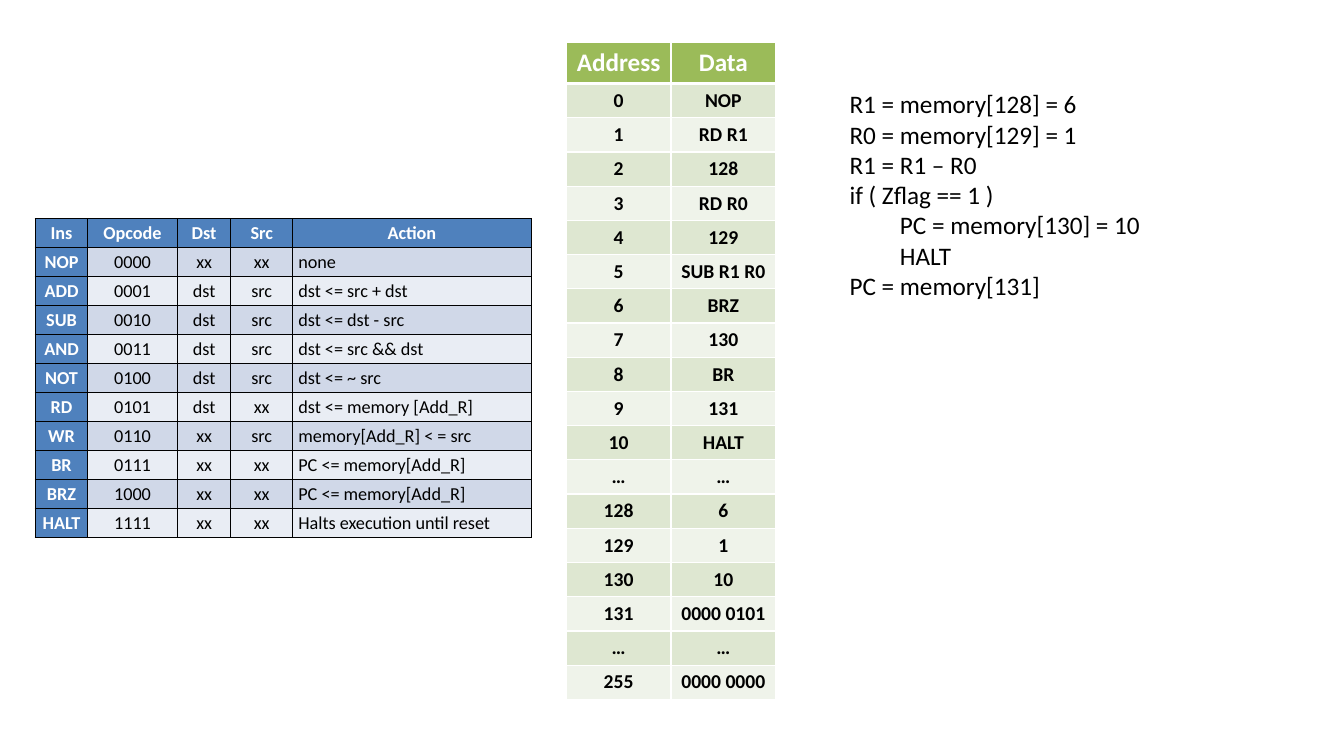
from dataclasses import dataclass

from lxml.etree import SubElement
from pptx import Presentation
from pptx.dml.color import RGBColor
from pptx.enum.text import MSO_ANCHOR, PP_ALIGN
from pptx.oxml.ns import qn
from pptx.slide import Slide
from pptx.table import _Cell
from pptx.text.text import _Paragraph
from pptx.util import Cm, Pt

WHITE = RGBColor(0xFF, 0xFF, 0xFF)
BLACK = RGBColor(0x00, 0x00, 0x00)
GREEN = RGBColor(0x9B, 0xBB, 0x59)
GREEN_BAND = RGBColor(0xDE, 0xE7, 0xD1)
GREEN_LIGHT = RGBColor(0xEF, 0xF3, 0xEA)
BLUE = RGBColor(0x4F, 0x81, 0xBD)
BLUE_BAND = RGBColor(0xD0, 0xD8, 0xE8)
BLUE_LIGHT = RGBColor(0xE9, 0xED, 0xF4)


@dataclass(frozen=True)
class TableDesign:
    """Place, measures (cm, points) and colours of one table."""

    left: float
    top: float
    column_widths: tuple[float, ...]
    header_height: float
    row_height: float
    header_size: int
    body_size: int
    header_fill: RGBColor
    bands: tuple[RGBColor, RGBColor]
    border: RGBColor
    header_rule: int
    margins: tuple[float, float]
    anchor: MSO_ANCHOR
    bold_body: bool
    header_column: bool
    left_column: int | None


MEMORY_DESIGN = TableDesign(
    14.27, 1.07, (2.64, 2.64), 1.01, 0.85, 18, 14, GREEN, (GREEN_BAND, GREEN_LIGHT),
    WHITE, 3, (0.25, 0.13), MSO_ANCHOR.TOP, True, False, None,
)
INSTRUCTION_DESIGN = TableDesign(
    0.89, 5.51, (1.32, 2.26, 1.35, 1.55, 6.02), 0.73, 0.73, 13, 13, BLUE,
    (BLUE_BAND, BLUE_LIGHT), BLACK, 1, (0.15, 0), MSO_ANCHOR.MIDDLE, False, True, 4,
)

MEMORY_ROWS = [
    ("Address", "Data"),
    ("0", "NOP"),
    ("1", "RD R1"),
    ("2", "128"),
    ("3", "RD R0"),
    ("4", "129"),
    ("5", "SUB R1 R0"),
    ("6", "BRZ"),
    ("7", "130"),
    ("8", "BR"),
    ("9", "131"),
    ("10", "HALT"),
    ("…", "…"),
    ("128", "6"),
    ("129", "1"),
    ("130", "10"),
    ("131", "0000 0101"),
    ("…", "…"),
    ("255", "0000 0000"),
]
INSTRUCTION_ROWS = [
    ("Ins", "Opcode", "Dst", "Src", "Action"),
    ("NOP", "0000", "xx", "xx", "none"),
    ("ADD", "0001", "dst", "src", "dst <= src + dst"),
    ("SUB", "0010", "dst", "src", "dst <= dst - src"),
    ("AND", "0011", "dst", "src", "dst <= src && dst"),
    ("NOT", "0100", "dst", "src", "dst <= ~ src"),
    ("RD", "0101", "dst", "xx", "dst <= memory [Add_R]"),
    ("WR", "0110", "xx", "src", "memory[Add_R] < = src"),
    ("BR", "0111", "xx", "xx", "PC <= memory[Add_R]"),
    ("BRZ", "1000", "xx", "xx", "PC <= memory[Add_R]"),
    ("HALT", "1111", "xx", "xx", "Halts execution until reset"),
]
PROGRAM_LINES = [
    "R1 = memory[128] = 6",
    "R0 = memory[129] = 1",
    "R1 = R1 – R0",
    "if ( Zflag == 1 )",
    "\tPC = memory[130] = 10",
    "\tHALT",
    "PC = memory[131]",
]


def set_font(paragraph: _Paragraph, size: int, color: RGBColor, bold: bool) -> None:
    """Format a whole paragraph."""
    font = paragraph.font
    font.name = "Calibri"
    font.size = Pt(size)
    font.bold = bold
    font.color.rgb = color


def set_borders(cell: _Cell, color: RGBColor, top: int, bottom: int) -> None:
    """Draw the four borders of a cell, with widths in points."""
    properties = cell._tc.get_or_add_tcPr()
    for side, width in (("L", 1), ("R", 1), ("T", top), ("B", bottom)):
        line = SubElement(properties, qn(f"a:ln{side}"), w=str(Pt(width)))
        fill = SubElement(line, qn("a:solidFill"))
        SubElement(fill, qn("a:srgbClr"), val=str(color))


def format_cell(cell: _Cell, text: str, row: int, column: int, design: TableDesign) -> None:
    """Write and format one cell according to its place in the table."""
    is_header = row == 0 or (design.header_column and column == 0)
    top = design.header_rule if row == 1 else 1
    bottom = design.header_rule if row == 0 else 1
    set_borders(cell, design.border, top, bottom)
    cell.fill.solid()
    cell.fill.fore_color.rgb = design.header_fill if is_header else design.bands[(row - 1) % 2]
    cell.margin_left = cell.margin_right = Cm(design.margins[0])
    cell.margin_top = cell.margin_bottom = Cm(design.margins[1])
    cell.vertical_anchor = design.anchor
    cell.text = text
    paragraph = cell.text_frame.paragraphs[0]
    is_left = column == design.left_column and not is_header
    paragraph.alignment = PP_ALIGN.LEFT if is_left else PP_ALIGN.CENTER
    size = design.header_size if row == 0 else design.body_size
    set_font(paragraph, size, WHITE if is_header else BLACK, is_header or design.bold_body)


def add_data_table(slide: Slide, rows: list[tuple[str, ...]], design: TableDesign) -> None:
    """Add a table holding the given rows."""
    height = design.header_height + design.row_height * (len(rows) - 1)
    table = slide.shapes.add_table(
        len(rows), len(design.column_widths), Cm(design.left), Cm(design.top),
        Cm(sum(design.column_widths)), Cm(height),
    ).table
    table.first_col = design.header_column
    for column, width in zip(table.columns, design.column_widths):
        column.width = Cm(width)
    for row, texts in enumerate(rows):
        table.rows[row].height = Cm(design.row_height if row else design.header_height)
        for column, text in enumerate(texts):
            format_cell(table.cell(row, column), text, row, column, design)


def add_program(slide: Slide) -> None:
    """Add the program listing."""
    text_frame = slide.shapes.add_textbox(Cm(21.16), Cm(2.11), Cm(11.43), Cm(6.4)).text_frame
    text_frame.word_wrap = True
    text_frame.text = "\n".join(PROGRAM_LINES)
    for paragraph in text_frame.paragraphs:
        set_font(paragraph, 18, BLACK, False)


def main() -> None:
    """Build the slide and save it."""
    presentation = Presentation()
    presentation.slide_width = Cm(33.87)
    presentation.slide_height = Cm(19.05)
    slide = presentation.slides.add_slide(presentation.slide_layouts.get_by_name("Blank"))
    add_data_table(slide, MEMORY_ROWS, MEMORY_DESIGN)
    add_data_table(slide, INSTRUCTION_ROWS, INSTRUCTION_DESIGN)
    add_program(slide)
    presentation.save("out.pptx")


if __name__ == "__main__":
    main()
